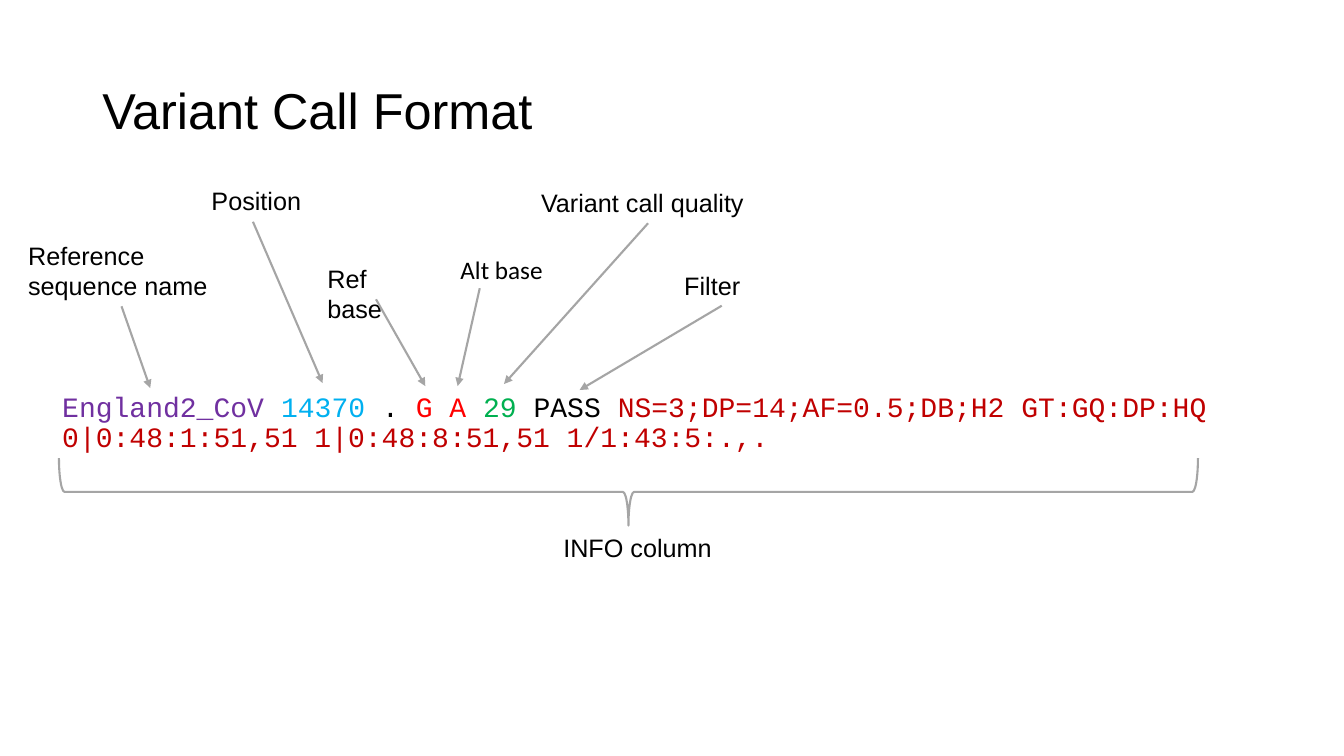
from lxml import etree
from pptx import Presentation
from pptx.dml.color import RGBColor
from pptx.enum.shapes import MSO_CONNECTOR, MSO_SHAPE
from pptx.enum.text import MSO_ANCHOR
from pptx.oxml.ns import qn
from pptx.util import Pt

STRAIGHT = MSO_CONNECTOR.STRAIGHT
RIGHT_BRACE = MSO_SHAPE.RIGHT_BRACE
MIDDLE = MSO_ANCHOR.MIDDLE
BOTTOM_SIDE = 2

BLACK = RGBColor(0x00, 0x00, 0x00)
GREY = RGBColor(0xA5, 0xA5, 0xA5)
PURPLE = RGBColor(0x70, 0x30, 0xA0)
BLUE = RGBColor(0x00, 0xB0, 0xF0)
RED = RGBColor(0xFF, 0x00, 0x00)
GREEN = RGBColor(0x00, 0xB0, 0x50)
DARK_RED = RGBColor(0xC0, 0x00, 0x00)


def add_text(slide, box, text, size, font="Arial"):
    textbox = slide.shapes.add_textbox(*map(Pt, box))
    frame = textbox.text_frame
    frame.word_wrap = True
    frame.text = text
    for paragraph in frame.paragraphs:
        for run in paragraph.runs:
            run.font.size = Pt(size)
            run.font.name = font
            run.font.color.rgb = BLACK
    return textbox


def add_arrow(slide, start, end):
    arrow = slide.shapes.add_connector(STRAIGHT, *map(Pt, start + end))
    arrow.line.color.rgb = GREY
    arrow.line.width = Pt(1.5)
    etree.SubElement(arrow.line._get_or_add_ln(), qn("a:tailEnd"), type="triangle")
    etree.SubElement(arrow._element.spPr, qn("a:effectLst"))
    return arrow


prs = Presentation()
prs.slide_width, prs.slide_height = Pt(960), Pt(540)
slide = prs.slides.add_slide(prs.slide_layouts[6])

title = add_text(slide, (66, 28.8, 828, 104.4), "Variant Call Format", 36)
title.text_frame.vertical_anchor = MIDDLE
title.text_frame.paragraphs[0].line_spacing = 0.9

# The VCF record, one colour per field
record_fields = [
    ("England2_CoV ", PURPLE),
    ("14370", BLUE),
    (" . ", BLACK),
    ("G A ", RED),
    ("29", GREEN),
    (" PASS ", BLACK),
    ("NS=3;DP=14;AF=0.5;DB;H2 GT:GQ:DP:HQ "
     "0|0:48:1:51,51 1|0:48:8:51,51 1/1:43:5:.,.", DARK_RED),
]
record = add_text(slide, (37.4, 277.2, 861.8, 56.2), "", 20)
record_line = record.text_frame.paragraphs[0]
record_line.line_spacing = 0.9
for value, color in record_fields:
    run = record_line.add_run()
    run.text = value
    run.font.size = Pt(20)
    run.font.name = "Courier New"
    run.font.color.rgb = color

# Label, font, box, arrow start (None: middle of the box's bottom), arrow end
field_labels = [
    ("Position", "Arial", (144, 128.9, 81.4, 29), (180.7, 158.4), (230.4, 273.6)),
    ("Variant call quality", "Arial", (379.4, 130.5, 167, 29), None, (360, 274.3)),
    ("Reference\nsequence name", "Arial", (13, 167.8, 147.6, 51), None, (107.3, 277.2)),
    ("Ref base", "Arial", (226.8, 184.3, 83.5, 29), (268.6, 213.8), (303.8, 275.8)),
    ("Alt base", "Calibri", (321.8, 177.8, 74.4, 29), (342.7, 205.9), (326.9, 275.8)),
    ("Filter", "Arial", (481.7, 189.4, 67.7, 29), None, (414, 278.6)),
]
for text, font, box, start, end in field_labels:
    label = add_text(slide, box, text, 18, font)
    arrow = add_arrow(slide, start or box[:2], end)
    if start is None:
        arrow.begin_connect(label, BOTTOM_SIDE)

info_brace = slide.shapes.add_shape(
    RIGHT_BRACE, Pt(424.8), Pt(-55.4), Pt(48.2), Pt(813.6))
info_brace.rotation = 90
info_brace.shadow.inherit = False
info_brace.fill.background()
info_brace.line.color.rgb = GREY
info_brace.line.width = Pt(1.5)
add_text(slide, (395.3, 376.6, 167, 29), "INFO column", 18)

prs.save("out.pptx")
